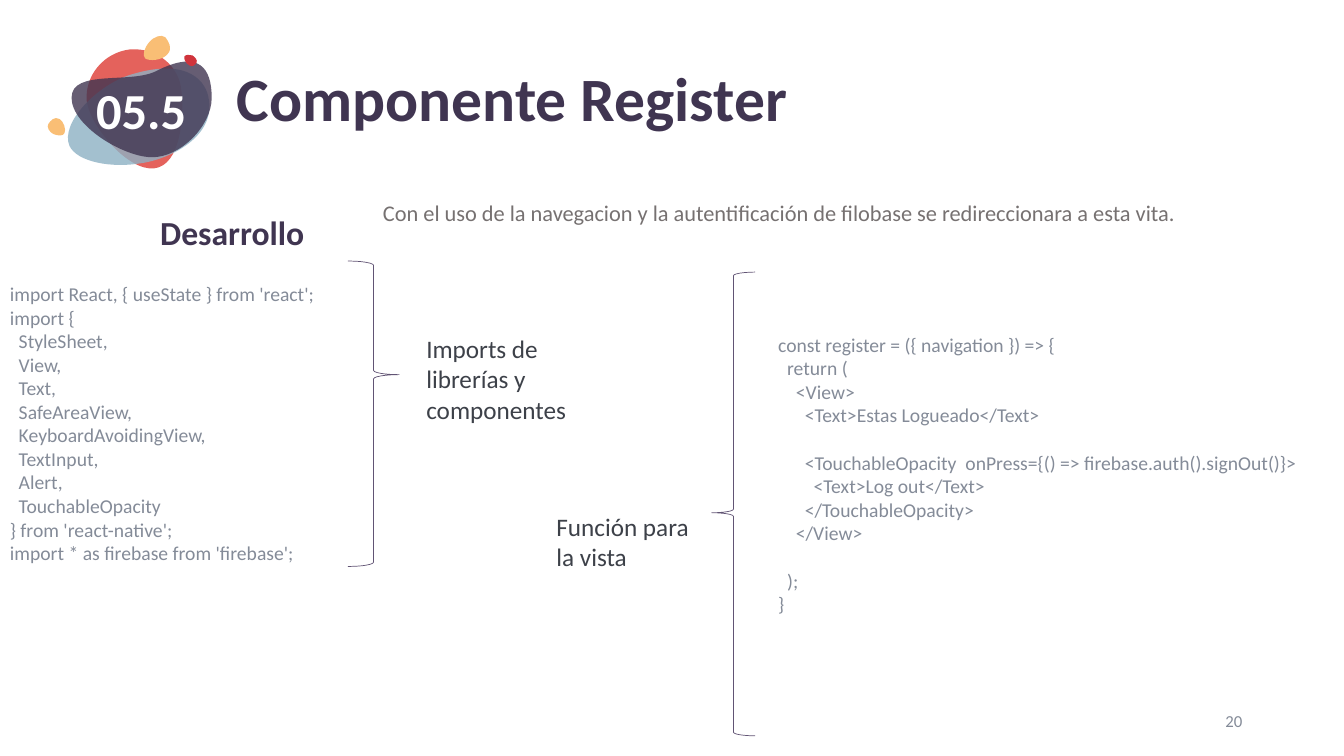
"""Build the "Componente Register" slide with its code samples and braces."""
from lxml.etree import SubElement
from pptx import Presentation
from pptx.dml.color import RGBColor
from pptx.enum.shapes import MSO_SHAPE as Shape
from pptx.enum.text import MSO_ANCHOR as Anchor, PP_ALIGN as Align
from pptx.oxml.ns import qn
from pptx.util import Inches, Pt

FONT = "Calibri"
WHITE = RGBColor(0xFF, 0xFF, 0xFF)
PURPLE = RGBColor(0x40, 0x35, 0x51)
CORAL = RGBColor(0xE4, 0x62, 0x5C)
BLUE = RGBColor(0x8D, 0xB1, 0xC4)
AMBER = RGBColor(0xF9, 0xBE, 0x75)
RED = RGBColor(0xD0, 0x34, 0x3C)
CODE_GRAY = RGBColor(0x84, 0x8B, 0x98)
LABEL_GRAY = RGBColor(0x3D, 0x41, 0x49)
INTRO_GRAY = RGBColor(0x76, 0x71, 0x71)
BRACE_LINE = RGBColor(0x61, 0x54, 0x74)

BLANK_LINE = 17

BADGE_TEXT = "05.5"
TITLE = "Componente Register"
HEADING = "Desarrollo"
INTRO = "Con el uso de la navegacion y la autentificación de filobase se redireccionara a esta vita."
IMPORTS_LABEL = "Imports de librerías y componentes"
VIEW_LABEL = "Función para la vista"
PAGE_NUMBER = "20"

IMPORTS_CODE = """import React, { useState } from 'react';
import {
  StyleSheet,
  View,
  Text,
  SafeAreaView,
  KeyboardAvoidingView,
  TextInput,
  Alert,
  TouchableOpacity
} from 'react-native';
import * as firebase from 'firebase';"""

VIEW_CODE = """const register = ({ navigation }) => {
  return (
    <View>
      <Text>Estas Logueado</Text>

      <TouchableOpacity  onPress={() => firebase.auth().signOut()}>
        <Text>Log out</Text>
      </TouchableOpacity>
    </View>

  );
}"""

# Each blob: colour, opacity, place, then closed cubic curves (two controls and an end).
BLOBS = [
    (CORAL, 100, (0.86, 0.49, 0.95, 1.18), [
        (0.89, 1.25, 1.27, 1.7, 1.53, 1.67), (1.79, 1.64, 1.83, 1.16, 1.8, 0.9),
        (1.78, 0.65, 1.55, 0.47, 1.29, 0.49), (1.03, 0.52, 0.84, 0.75, 0.86, 1)]),
    (BLUE, 80, (0.67, 0.68, 1.41, 0.96), [
        (0.77, 1.61, 1.11, 1.67, 1.4, 1.62), (1.68, 1.58, 2.14, 1.36, 2.07, 0.98),
        (2.05, 0.83, 1.89, 0.56, 1.3, 0.74), (0.97, 0.84, 0.59, 1.22, 0.69, 1.45)]),
    (PURPLE, 80, (0.71, 0.61, 1.38, 0.95), [
        (0.71, 1.25, 1.23, 1.56, 1.51, 1.56), (1.79, 1.56, 2.1, 1.25, 2.1, 0.97),
        (2.1, 0.68, 1.98, 0.49, 1.56, 0.7), (1.31, 0.84, 0.71, 0.68, 0.71, 0.97)]),
    (AMBER, 100, (1.43, 0.36, 0.26, 0.23), [
        (1.48, 0.61, 1.61, 0.6, 1.66, 0.54), (1.72, 0.48, 1.67, 0.41, 1.64, 0.37),
        (1.6, 0.34, 1.53, 0.36, 1.48, 0.42), (1.43, 0.48, 1.41, 0.55, 1.44, 0.58)]),
    (AMBER, 100, (0.48, 1.17, 0.17, 0.18), [
        (0.66, 1.29, 0.63, 1.2, 0.59, 1.18), (0.54, 1.15, 0.5, 1.2, 0.48, 1.23),
        (0.46, 1.26, 0.49, 1.31, 0.53, 1.33), (0.58, 1.35, 0.63, 1.35, 0.64, 1.32)]),
    (RED, 100, (1.83, 0.54, 0.12, 0.11), [
        (1.82, 0.58, 1.84, 0.63, 1.88, 0.65), (1.91, 0.67, 1.94, 0.64, 1.95, 0.62),
        (1.96, 0.6, 1.94, 0.57, 1.91, 0.55), (1.88, 0.54, 1.84, 0.54, 1.83, 0.56)]),
]

BRACES = [
    (Shape.RIGHT_BRACE, (3.45, 2.59, 0.51, 3.03), (0.083, 0.372)),
    (Shape.LEFT_BRACE, (7.06, 2.7, 0.43, 4.6), (0.083, 0.519)),
]

TEXTS = [
    (TITLE, (2.25, 0.39, 10, 1.24),
     dict(size=44, color=PURPLE, bold=True, anchor=Anchor.MIDDLE, spacing=0.9)),
    (PAGE_NUMBER, (9.42, 6.95, 3, 0.4),
     dict(size=12, color=CODE_GRAY, anchor=Anchor.MIDDLE, align=Align.RIGHT)),
    (HEADING, (1.49, 1.89, 3.26, 0.61),
     dict(size=24, color=PURPLE, bold=True, anchor=Anchor.BOTTOM, insets=(0.1, 0.2, 0.1, 0))),
    (IMPORTS_CODE, (0, 2.75, 6.66, 3.53), dict(size=14, color=CODE_GRAY)),
    (IMPORTS_LABEL, (4.13, 3.26, 1.64, 1.01), dict(size=18, color=LABEL_GRAY)),
    (INTRO, (3.7, 1.93, 8.95, 0.37), dict(size=16, color=INTRO_GRAY, align=Align.JUSTIFY)),
    (VIEW_LABEL, (5.42, 5.02, 1.54, 0.71), dict(size=18, color=LABEL_GRAY)),
    (VIEW_CODE, (7.62, 3.25, 5.7, 2.95), dict(size=14, color=CODE_GRAY)),
]


def write(shape, text, size, color, bold=False, align=Align.LEFT, anchor=Anchor.TOP,
          insets=(0.1, 0.05, 0.1, 0.05), spacing=None):
    frame = shape.text_frame
    frame.word_wrap = True
    frame.vertical_anchor = anchor
    (frame.margin_left, frame.margin_top,
     frame.margin_right, frame.margin_bottom) = map(Inches, insets)
    para, gap = frame.paragraphs[0], 0
    for index, line in enumerate(text.split("\n")):
        if not line:
            gap += BLANK_LINE
            continue
        if index:
            para = frame.add_paragraph()
        if gap:
            para.space_before = Pt(gap)
        gap = 0
        para.alignment = align
        if spacing:
            para.line_spacing = spacing
        span = para.add_run()
        span.text = line
        span.font.name = FONT
        span.font.size = Pt(size)
        span.font.bold = bold
        span.font.color.rgb = color


def bend(blob, place, curves):
    left, top, width, height = place
    outline = next(blob._element.iter(qn("a:path")))
    for child in list(outline):
        outline.remove(child)
    outline.set("w", str(Inches(width)))
    outline.set("h", str(Inches(height)))

    def add_command(name, values):
        command = SubElement(outline, qn(name))
        for x, y in zip(values[::2], values[1::2]):
            SubElement(command, qn("a:pt"), x=str(Inches(x - left)), y=str(Inches(y - top)))

    add_command("a:moveTo", curves[-1][-2:])
    for curve in curves:
        add_command("a:cubicBezTo", curve)
    add_command("a:close", ())
    blob.left, blob.top, blob.width, blob.height = map(Inches, place)


def add_blob(page, color, opacity, place, curves):
    ends = [tuple(map(Inches, curve[-2:])) for curve in curves]
    builder = page.shapes.build_freeform(*ends[-1])
    builder.add_line_segments(ends, close=True)
    blob = builder.convert_to_shape()
    bend(blob, place, curves)
    blob.shadow.inherit = False
    blob.line.fill.background()
    blob.fill.solid()
    blob.fill.fore_color.rgb = color
    if opacity < 100:
        tone = blob._element.spPr.find(qn("a:solidFill"))[0]
        SubElement(tone, qn("a:alpha"), val=str(opacity * 1000))
    if color == PURPLE:
        write(blob, BADGE_TEXT, size=36, color=WHITE, bold=True, align=Align.CENTER,
              anchor=Anchor.MIDDLE, insets=(0.04,) * 4)


def add_brace(page, kind, place, adjustments):
    brace = page.shapes.add_shape(kind, *map(Inches, place))
    brace.shadow.inherit = False
    brace.fill.background()
    brace.line.color.rgb = BRACE_LINE
    brace.line.width = Pt(0.5)
    for index, value in enumerate(adjustments):
        brace.adjustments[index] = value


def main():
    deck = Presentation()
    deck.slide_width, deck.slide_height = Inches(13.33), Inches(7.5)
    page = deck.slides.add_slide(deck.slide_layouts[6])
    for blob in BLOBS:
        add_blob(page, *blob)
    for brace in BRACES:
        add_brace(page, *brace)
    for text, place, style in TEXTS:
        write(page.shapes.add_textbox(*map(Inches, place)), text, **style)
    deck.save("out.pptx")


if __name__ == "__main__":
    main()
